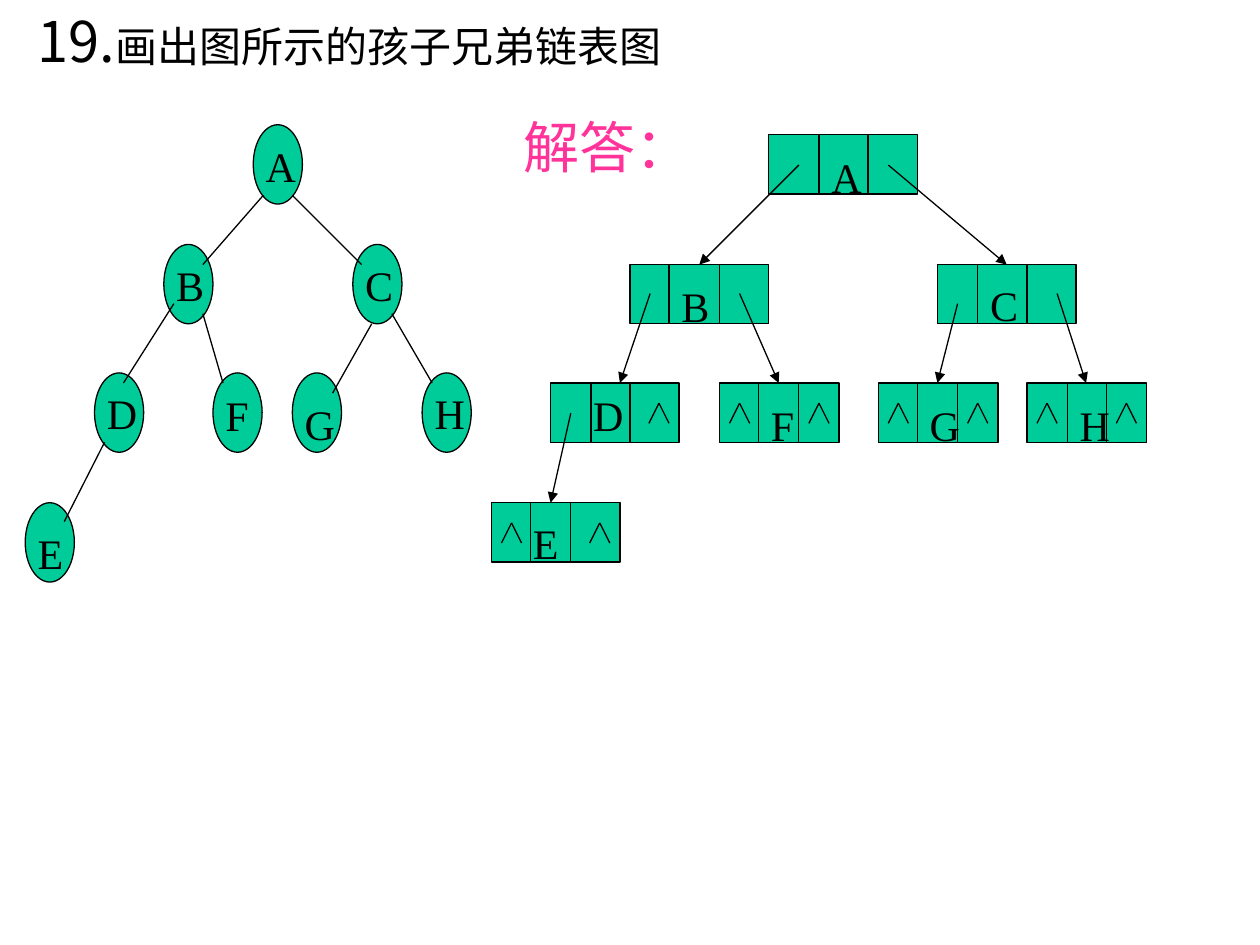
from lxml import etree
from pptx import Presentation
from pptx import util as u
from pptx.dml.color import RGBColor
from pptx.enum import shapes, text
from pptx.oxml import ns

COLOURS = {"ink": "000000", "node": "00CC99", "answer": "FF3399"}
SERIF, SANS = "Times New Roman", "Noto Sans CJK SC"

NODE_WIDTH, NODE_HEIGHT = 0.39, 0.63
# letter: (left, top, label top offset, label width)
TREE_NODES = {
    "A": (2.01, 0.99, 0.08, 0.31),
    "B": (1.3, 1.94, 0.07, 0.32),
    "C": (2.8, 1.94, 0.07, 0.32),
    "D": (0.75, 2.96, 0.07, 0.39),
    "E": (0.2, 3.99, 0.15, 0.32),
    "F": (1.69, 2.96, 0.08, 0.39),
    "G": (2.32, 2.96, 0.15, 0.32),
    "H": (3.35, 2.96, 0.07, 0.39),
}
TREE_EDGES = [
    (2.09, 1.55, 1.61, 2.1), (2.32, 1.55, 2.87, 2.1),
    (1.38, 2.41, 0.98, 3.04), (1.61, 2.49, 1.77, 3.04),
    (0.83, 3.51, 0.51, 4.14), (2.95, 2.57, 2.64, 3.12),
    (3.11, 2.49, 3.43, 3.04),
]

RECORD_HEIGHT = 0.47
# letter: (left, top, width, divider offsets, null sides, label offset, label width)
RECORDS = {
    "A": (6.1, 1.07, 1.18, (0.4, 0.79), "", (0.4, 0.08), 0.31),
    "B": (5, 2.1, 1.1, (0.31, 0.71), "", (0.31, 0.08), 0.32),
    "C": (7.44, 2.1, 1.1, (0.32, 0.71), "", (0.32, 0.07), 0.32),
    "D": (4.37, 3.04, 1.02, (0.32, 0.63), "R", (0.24, 0), 0.39),
    "F": (5.71, 3.04, 0.95, (0.31, 0.63), "LR", (0.31, 0.08), 0.39),
    "G": (6.97, 3.04, 0.95, (0.31, 0.63), "LR", (0.31, 0.08), 0.32),
    "H": (8.15, 3.04, 0.95, (0.32, 0.63), "LR", (0.32, 0.08), 0.39),
    "E": (3.9, 3.99, 1.02, (0.31, 0.63), "LR", (0.23, 0.07), 0.32),
}
POINTERS = [
    (6.34, 1.31, 5.55, 2.1), (5.16, 2.33, 4.92, 3.04),
    (4.53, 3.28, 4.37, 3.99), (7.05, 1.31, 7.99, 2.1),
    (7.6, 2.41, 7.44, 3.04), (5.87, 2.33, 6.18, 3.04),
    (8.39, 2.33, 8.62, 3.04),
]


class Painter:
    """Holds the line style and the page being drawn."""

    def __init__(self, page):
        self.page = page
        self.line_width = u.Pt(0.75)

    def colour(self, name):
        return RGBColor.from_string(COLOURS[name])

    def shape(self, kind, *frame):
        shape = self.page.shapes.add_shape(kind, *map(u.Inches, frame))
        shape.shadow.inherit = False
        shape.fill.solid()
        shape.fill.fore_color.rgb = self.colour("node")
        shape.line.color.rgb = self.colour("ink")
        shape.line.width = self.line_width

    def line(self, *ends, arrow=False):
        line = self.page.shapes.add_connector(
            shapes.MSO_CONNECTOR.STRAIGHT, *map(u.Inches, ends))
        line.line.color.rgb = self.colour("ink")
        line.line.width = self.line_width
        if arrow:
            outline = line.line._get_or_add_ln()
            etree.SubElement(outline, ns.qn("a:tailEnd"), type="triangle")
        etree.SubElement(line._element.spPr, ns.qn("a:effectLst"))

    def text(self, frame, *spans, colour="ink", hanging=0):
        """Write one paragraph; each span is (words, size, font)."""
        box = self.page.shapes.add_textbox(*map(u.Inches, frame)).text_frame
        layout = {"word_wrap": True,
                  "auto_size": text.MSO_AUTO_SIZE.SHAPE_TO_FIT_TEXT}
        for name, value in layout.items():
            setattr(box, name, value)
        para = box.paragraphs[0]
        if hanging:
            properties = para._p.get_or_add_pPr()
            properties.set("marL", str(u.Inches(hanging)))
            properties.set("indent", str(-u.Inches(hanging)))
        for words, size, font in spans:
            span = para.add_run()
            span.text = words
            for name, value in {"size": u.Pt(size), "name": font}.items():
                setattr(span.font, name, value)
            span.font.color.rgb = self.colour(colour)
            etree.SubElement(span._r.get_or_add_rPr(), ns.qn("a:ea"), typeface=SANS)

    def letter(self, letter, left, top, width):
        self.text((left, top, width, 0.4), (letter, 24, SERIF))

    def null_mark(self, centre, top):
        for side in (-0.08, 0.08):
            self.line(centre, top, centre + side, top + 0.16)


def draw_tree(painter):
    for left, top, *_ in TREE_NODES.values():
        painter.shape(shapes.MSO_SHAPE.OVAL, left, top, NODE_WIDTH, NODE_HEIGHT)
    for edge in TREE_EDGES:
        painter.line(*edge)
    for letter, (left, top, drop, width) in TREE_NODES.items():
        painter.letter(letter, left, top + drop, width)


def draw_linked_list(painter):
    for left, top, width, dividers, nulls, *_ in RECORDS.values():
        painter.shape(shapes.MSO_SHAPE.RECTANGLE, left, top, width, RECORD_HEIGHT)
        for offset in dividers:
            painter.line(left + offset, top, left + offset, top + RECORD_HEIGHT)
        centres = {"L": left + 0.16, "R": left + width - 0.16}
        for side in nulls:
            painter.null_mark(centres[side], top + 0.16)
    for pointer in POINTERS:
        painter.line(*pointer, arrow=True)
    for letter, (left, top, *_, (right, drop), width) in RECORDS.items():
        painter.letter(letter, left + right, top + drop, width)


def main():
    deck = Presentation()
    deck.slide_width, deck.slide_height = u.Inches(10), u.Inches(7.5)
    painter = Painter(deck.slides.add_slide(deck.slide_layouts[6]))
    painter.text((0.2, 0, 9.8, 0.63), ("19.", 32, SANS),
                 ("画出图所示的孩子兄弟链表图", 24, SERIF), hanging=0.38)
    draw_tree(painter)
    draw_linked_list(painter)
    painter.text((4.06, 0.84, 1.1, 0.63), ("解答：", 32, SERIF), colour="answer")
    deck.save("out.pptx")


if __name__ == "__main__":
    main()
